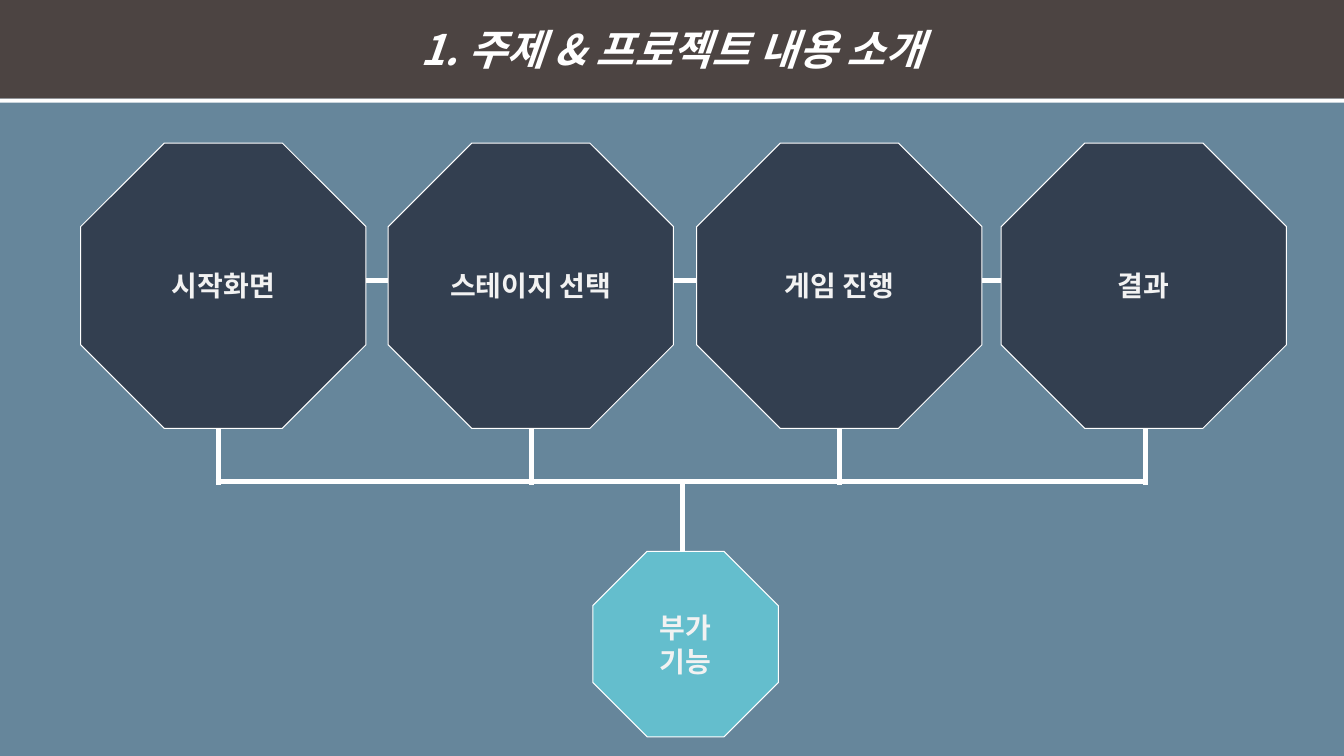
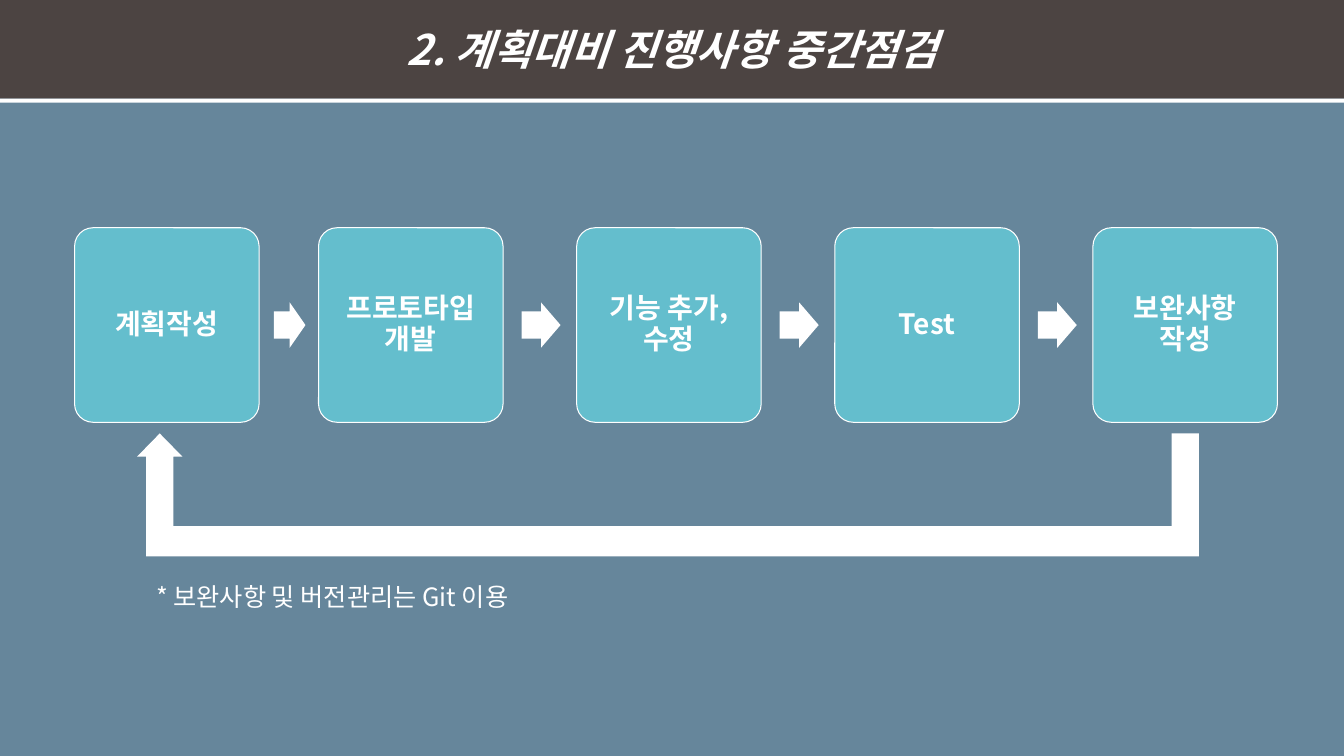
from dataclasses import dataclass
from itertools import pairwise

from lxml.etree import SubElement
from pptx import Presentation
from pptx.dml.color import RGBColor
from pptx.enum.shapes import MSO_CONNECTOR as Link, MSO_SHAPE as Kind
from pptx.enum.text import MSO_ANCHOR as Anchor, MSO_AUTO_SIZE as Fit, PP_ALIGN as Align
from pptx.oxml.ns import qn
from pptx.shapes.autoshape import Shape
from pptx.slide import Slide
from pptx.text.text import TextFrame
from pptx.util import Inches, Pt

WHITE = RGBColor(0xFF, 0xFF, 0xFF)
PALE = RGBColor(0xF2, 0xF2, 0xF2)
STEEL = RGBColor(0x66, 0x86, 0x9B)
BROWN = RGBColor(0x4C, 0x44, 0x42)
NAVY = RGBColor(0x33, 0x3F, 0x50)
AQUA = RGBColor(0x64, 0xBE, 0xCD)
FACE = "Noto Sans CJK KR"
WIDTH, HEIGHT = 13.33, 7.5
TOP, BAND, RULE = -0.02, 1.0, 0.04


@dataclass(frozen=True)
class Box:
    left: float
    top: float
    width: float
    height: float

    @property
    def right(self) -> float:
        return self.left + self.width

    @property
    def mid(self) -> float:
        return self.left + self.width / 2

    @property
    def core(self) -> float:
        return self.top + self.height / 2


@dataclass(frozen=True)
class Style:
    size: int
    color: RGBColor
    bold: bool = True
    slant: bool = False
    align: Align = Align.CENTER
    space: float = 1.0


@dataclass(frozen=True)
class Node:
    text: str
    box: Box
    fill: RGBColor


HEAD = Style(30, WHITE, slant=True)
STAGE = Style(20, PALE)
STEP = Style(20, WHITE, space=0.9)
NOTE = Style(18, WHITE, bold=False, align=Align.LEFT)


def write(frame: TextFrame, text: str, style: Style) -> None:
    frame.vertical_anchor = Anchor.MIDDLE
    for i, line in enumerate(text.split("\n")):
        para = frame.add_paragraph() if i else frame.paragraphs[0]
        para.alignment = style.align
        para.line_spacing = style.space
        run = para.add_run()
        run.text = line
        font = run.font
        font.name, font.size = FACE, Pt(style.size)
        font.bold, font.italic = style.bold, style.slant
        font.color.rgb = style.color
        props = run._r.get_or_add_rPr()
        props.set("kern", "0")
        SubElement(props, qn("a:ea"), typeface=FACE)


def paint(shape: Shape, fill: RGBColor, edge: bool = False) -> None:
    shape.shadow.inherit = False
    shape.fill.solid()
    shape.fill.fore_color.rgb = fill
    if edge:
        shape.line.color.rgb = WHITE
        shape.line.width = Pt(0.75)
    else:
        shape.line.fill.background()


def block(page: Slide, kind: Kind, box: Box, fill: RGBColor, edge: bool = False) -> Shape:
    shape = page.shapes.add_shape(
        kind, Inches(box.left), Inches(box.top), Inches(box.width), Inches(box.height))
    paint(shape, fill, edge)
    return shape


def wire(page: Slide, x1: float, y1: float, x2: float, y2: float) -> None:
    line = page.shapes.add_connector(
        Link.STRAIGHT, Inches(x1), Inches(y1), Inches(x2), Inches(y2))
    line.line.color.rgb = WHITE
    line.line.width = Pt(3.75)
    SubElement(line._element.spPr, qn("a:effectLst"))


def start(deck: Presentation, text: str) -> Slide:
    page = deck.slides.add_slide(deck.slide_layouts[5])
    page.background.fill.solid()
    page.background.fill.fore_color.rgb = STEEL
    title = page.shapes.title
    title.left, title.top = Inches(0), Inches(TOP)
    title.width, title.height = Inches(WIDTH), Inches(BAND)
    title.fill.solid()
    title.fill.fore_color.rgb = BROWN
    title.text_frame.auto_size = Fit.NONE
    write(title.text_frame, text, HEAD)
    block(page, Kind.RECTANGLE, Box(0, TOP + BAND, WIDTH, RULE), WHITE)
    return page


def draw_map(deck: Presentation) -> None:
    page = start(deck, "1. 주제 & 프로젝트 내용 소개")
    size, link, bus, half = 2.83, 2.78, 4.78, 0.03
    names = ("시작화면", "스테이지 선택", "게임 진행", "결과")
    lefts = (0.8, 3.85, 6.91, 9.93)
    drops = (2.17, 5.27, 8.33, 11.36)
    nodes = [Node(name, Box(left, 1.42, size, size), NAVY)
             for name, left in zip(names, lefts)]
    extra = Node("부가\n기능", Box(5.88, 5.47, 1.84, 1.84), AQUA)
    wire(page, 1.9, link, 12, link)
    for x in drops:
        wire(page, x, nodes[0].box.core, x, bus + half)
    wire(page, drops[0] - half, bus, drops[-1] + half, bus)
    wire(page, 6.77, bus, 6.77, extra.box.core)
    for node in (*nodes, extra):
        shape = block(page, Kind.OCTAGON, node.box, node.fill, True)
        write(shape.text_frame, node.text, STAGE)


def draw_loop(page: Slide, first: float, last: float) -> None:
    top, neck, inner, base = 4.3, 4.53, 5.22, 5.52
    half, wing = 0.135, 0.225
    spots = [
        (first, top), (first + wing, neck), (first + half, neck),
        (first + half, inner), (last - half, inner), (last - half, top),
        (last + half, top), (last + half, base), (first - half, base),
        (first - half, neck), (first - wing, neck),
    ]
    dots = [(Inches(x), Inches(y)) for x, y in spots]
    form = page.shapes.build_freeform(*dots[0])
    form.add_line_segments(dots[1:], close=True)
    paint(form.convert_to_shape(), WHITE)


def draw_plan(deck: Presentation) -> None:
    page = start(deck, "2. 계획대비 진행사항 중간점검")
    names = ("계획작성", "프로토타입 개발", "기능 추가, 수정", "Test", "보완사항 작성")
    lefts = (0.74, *(3.16 + 2.56 * i for i in range(4)))
    nodes = [Node(name, Box(left, 2.26, 1.83, 1.93), AQUA)
             for name, left in zip(names, lefts)]
    for node in nodes:
        shape = block(page, Kind.ROUNDED_RECTANGLE, node.box, node.fill, True)
        shape.adjustments[0] = 0.1
        frame = shape.text_frame
        frame.margin_left = frame.margin_right = Inches(0.18)
        write(frame, node.text, STEP)
    for one, two in pairwise(nodes):
        gap = two.box.left - one.box.right
        spot = Box(one.box.right + gap * 0.25, 3, gap * 0.53, 0.45)
        arrow = block(page, Kind.RIGHT_ARROW, spot, WHITE)
        arrow.adjustments[0] = 0.6
    draw_loop(page, nodes[0].box.mid - 0.07, nodes[-1].box.mid)
    note = page.shapes.add_textbox(Inches(1.45), Inches(5.72), Inches(4.2), Inches(0.4))
    note.text_frame.word_wrap = False
    write(note.text_frame, "* 보완사항 및 버전관리는 Git 이용", NOTE)


def main() -> None:
    deck = Presentation()
    deck.slide_width, deck.slide_height = Inches(WIDTH), Inches(HEIGHT)
    draw_map(deck)
    draw_plan(deck)
    deck.save("out.pptx")


if __name__ == "__main__":
    main()
